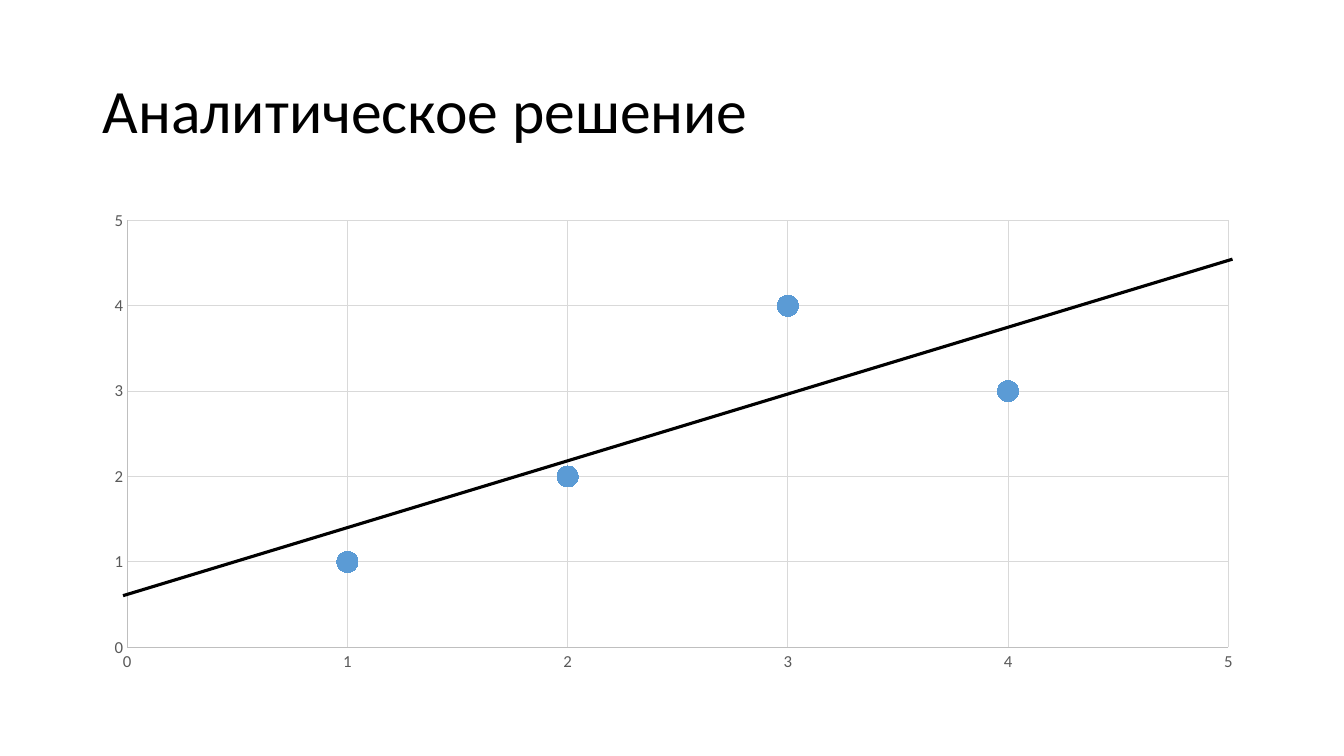
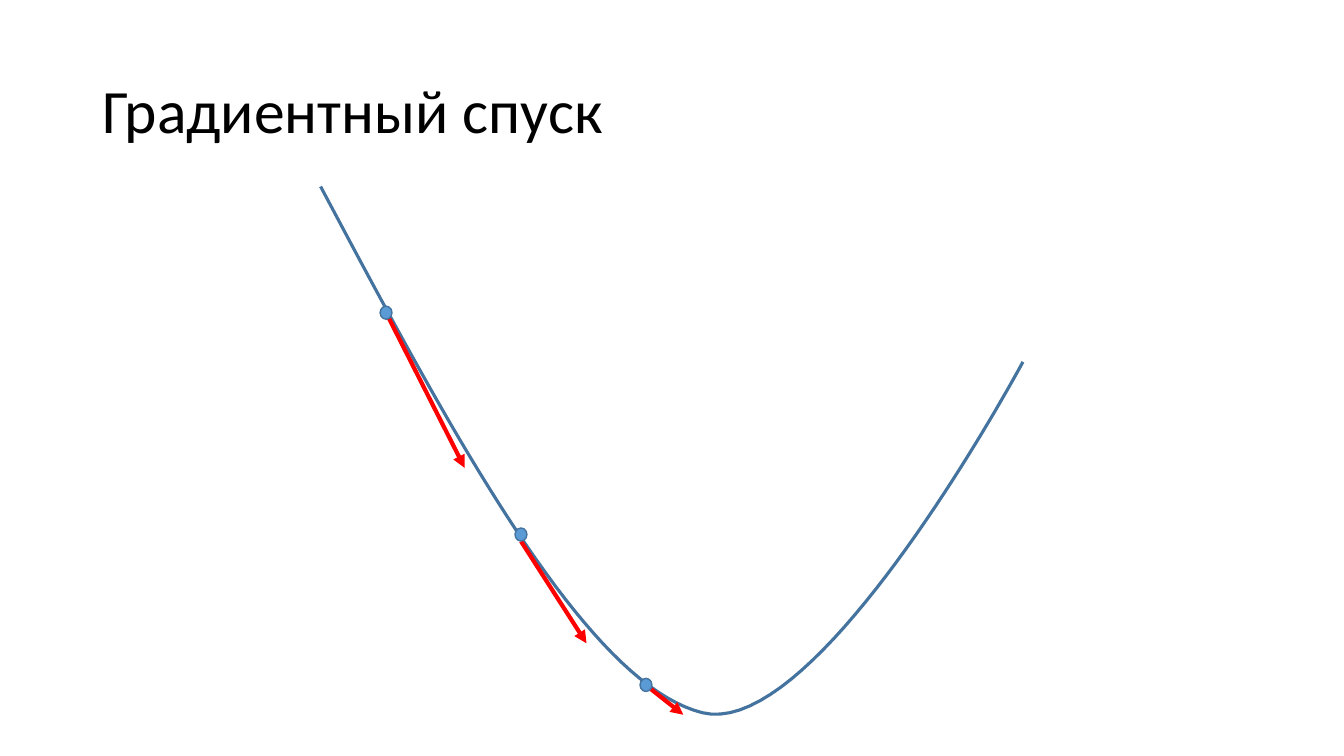
from lxml.etree import SubElement
from pptx import Presentation
from pptx.chart.data import XyChartData
from pptx.dml.color import RGBColor
from pptx.enum.chart import XL_CHART_TYPE, XL_MARKER_STYLE, XL_TICK_MARK
from pptx.enum.shapes import MSO_CONNECTOR, MSO_SHAPE
from pptx.enum.text import MSO_ANCHOR, MSO_AUTO_SIZE, PP_ALIGN
from pptx.oxml.ns import qn
from pptx.util import Cm, Pt

FONT = "Calibri"
BLACK = RGBColor(0x00, 0x00, 0x00)
GRAY_TEXT = RGBColor(0x59, 0x59, 0x59)
AXIS_GRAY = RGBColor(0xBF, 0xBF, 0xBF)
GRID_GRAY = RGBColor(0xD9, 0xD9, 0xD9)
BLUE = RGBColor(0x5B, 0x9B, 0xD5)
DARK_BLUE = RGBColor(0x43, 0x73, 0x9E)
RED = RGBColor(0xFF, 0x00, 0x00)

# Content; lengths are in centimetres
LEFT, WIDTH = 2.33, 29.21
FIT_TITLE = "Аналитическое решение"
FIT_POINTS = [(1, 1), (2, 2), (3, 4), (4, 3)]
FIT_LINE = ((3.1, 15.01), (31.06, 6.53))
PLOT_AREA = {"x": 0.03, "y": 0.04, "w": 0.95, "h": 0.89}

DESCENT_TITLE = "Градиентный спуск"
CURVE = [  # Bezier segments: start, two controls, end
    ((8.08, 4.7), (11.4, 10.95), (14.76, 17.22), (17.7, 17.96)),
    ((17.7, 17.96), (20.65, 18.69), (25.78, 9.12), (25.78, 9.12)),
]
CURVE_STEPS = 40
DOT_WIDTH, DOT_HEIGHT = 0.3, 0.33
STEPS = [  # dot centre, arrow start, arrow end
    ((9.73, 7.88), (9.7, 7.82), (11.71, 11.79)),
    ((13.13, 13.47), (13.13, 13.64), (14.78, 16.21)),
    ((16.28, 17.26), (16.41, 17.37), (17.22, 18.01)),
]


def style_line(line, color, width):
    line.color.rgb = color
    line.width = Pt(width)


def add_titled_slide(deck, text):
    page = deck.slides.add_slide(deck.slide_layouts[5])
    title = page.shapes.title
    title.left, title.top = Cm(LEFT), Cm(1.01)
    title.width, title.height = Cm(WIDTH), Cm(3.68)
    frame = title.text_frame
    frame.text = text
    frame.word_wrap = True
    frame.auto_size = MSO_AUTO_SIZE.NONE
    frame.vertical_anchor = MSO_ANCHOR.MIDDLE
    para = frame.paragraphs[0]
    para.alignment = PP_ALIGN.LEFT
    para.line_spacing = 0.9
    font = para.runs[0].font
    font.name, font.size, font.color.rgb = FONT, Pt(44), BLACK
    return page


def add_line(page, start, end, color, width, arrow=False):
    line = page.shapes.add_connector(
        MSO_CONNECTOR.STRAIGHT, *(Cm(value) for value in start + end))
    style_line(line.line, color, width)
    properties = line._element.spPr
    if arrow:
        SubElement(properties.find(qn("a:ln")), qn("a:tailEnd"), type="triangle")
    SubElement(properties, qn("a:effectLst"))


def style_axis(axis):
    axis.minimum_scale, axis.maximum_scale, axis.major_unit = 0, 5, 1
    axis.major_tick_mark = axis.minor_tick_mark = XL_TICK_MARK.NONE
    axis.has_major_gridlines = True
    style_line(axis.major_gridlines.format.line, GRID_GRAY, 0.75)
    style_line(axis.format.line, AXIS_GRAY, 0.75)
    font = axis.tick_labels.font
    font.name, font.size, font.color.rgb = FONT, Pt(12), GRAY_TEXT


def place_plot_area(chart):
    plot_area = chart._chartSpace.chart.plotArea
    for old in plot_area.findall(qn("c:layout")):
        plot_area.remove(old)
    layout = SubElement(plot_area, qn("c:layout"))
    plot_area.insert(0, layout)
    manual = SubElement(layout, qn("c:manualLayout"))
    SubElement(manual, qn("c:layoutTarget"), val="inner")
    for side in "xy":
        SubElement(manual, qn(f"c:{side}Mode"), val="edge")
    for key, value in PLOT_AREA.items():
        SubElement(manual, qn(f"c:{key}"), val=str(value))


def add_scatter(page):
    data = XyChartData()
    points = data.add_series("Series 1")
    for x, y in FIT_POINTS:
        points.add_data_point(x, y)
    chart = page.shapes.add_chart(
        XL_CHART_TYPE.XY_SCATTER, Cm(LEFT), Cm(5.07), Cm(WIDTH), Cm(12.09), data).chart
    chart.has_legend = chart.has_title = False
    chart.font.name, chart.font.size = FONT, Pt(10)
    chart.font.color.rgb = BLACK
    style_axis(chart.category_axis)
    style_axis(chart.value_axis)
    place_plot_area(chart)
    chart.plots[0].vary_by_categories = False
    series = chart.plots[0].series[0]
    series.format.line.fill.background()
    marker = series.marker
    marker.style, marker.size = XL_MARKER_STYLE.CIRCLE, 15
    marker.format.fill.solid()
    marker.format.fill.fore_color.rgb = BLUE
    marker.format.line.color.rgb = BLUE


def bezier_point(segment, t):
    weights = ((1 - t) ** 3, 3 * t * (1 - t) ** 2, 3 * t ** 2 * (1 - t), t ** 3)
    return tuple(Cm(sum(w * v for w, v in zip(weights, values)))
                 for values in zip(*segment))


def add_curve(page):
    points = [bezier_point(segment, step / CURVE_STEPS)
              for segment in CURVE for step in range(1, CURVE_STEPS + 1)]
    builder = page.shapes.build_freeform(*bezier_point(CURVE[0], 0))
    builder.add_line_segments(points, close=False)
    curve = builder.convert_to_shape()
    curve.shadow.inherit = False
    curve.fill.background()
    style_line(curve.line, DARK_BLUE, 2.25)


def add_dot(page, center):
    x, y = center
    dot = page.shapes.add_shape(
        MSO_SHAPE.OVAL, Cm(x - DOT_WIDTH / 2), Cm(y - DOT_HEIGHT / 2),
        Cm(DOT_WIDTH), Cm(DOT_HEIGHT))
    dot.shadow.inherit = False
    dot.fill.solid()
    dot.fill.fore_color.rgb = BLUE
    style_line(dot.line, DARK_BLUE, 1)


def main():
    deck = Presentation()
    deck.slide_width, deck.slide_height = Cm(33.87), Cm(19.05)

    # Scatter with fitted line
    page = add_titled_slide(deck, FIT_TITLE)
    add_scatter(page)
    add_line(page, *FIT_LINE, BLACK, 2.25)

    # Descent along the curve
    page = add_titled_slide(deck, DESCENT_TITLE)
    add_curve(page)
    for center, start, end in STEPS:
        add_line(page, start, end, RED, 3, arrow=True)
        add_dot(page, center)

    deck.save("out.pptx")


if __name__ == "__main__":
    main()
